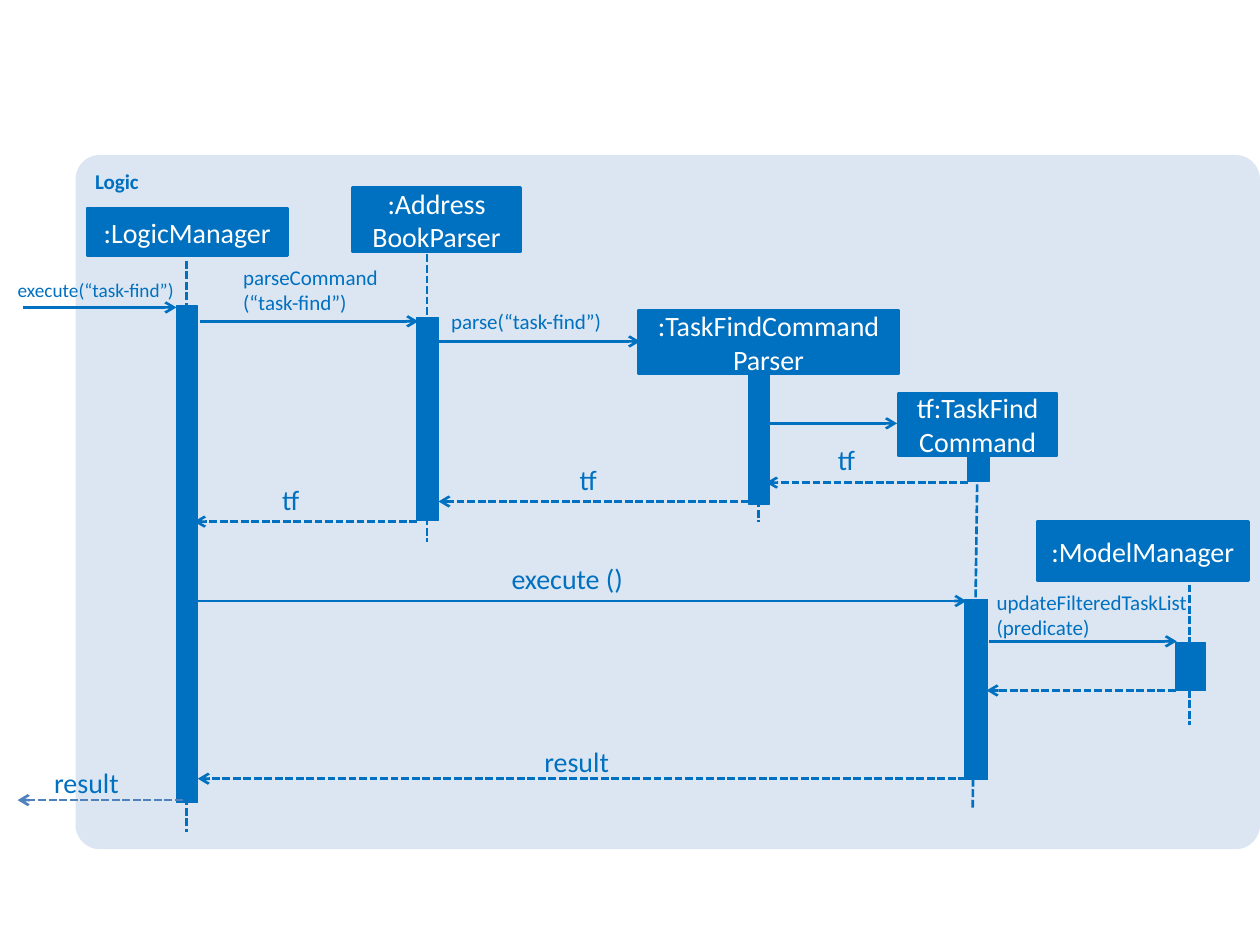
"""Build a sequence diagram of the task-find command inside the Logic component."""
from dataclasses import dataclass

from lxml import etree
from pptx import Presentation
from pptx.dml.color import RGBColor
from pptx.enum.dml import MSO_LINE
from pptx.enum.shapes import MSO_CONNECTOR, MSO_SHAPE
from pptx.enum.text import MSO_ANCHOR, PP_ALIGN
from pptx.oxml.ns import qn
from pptx.util import Inches, Pt

RECTANGLE = MSO_SHAPE.RECTANGLE
ROUNDED = MSO_SHAPE.ROUNDED_RECTANGLE
STRAIGHT = MSO_CONNECTOR.STRAIGHT
DASHED = MSO_LINE.SQUARE_DOT
LEFT, CENTER, RIGHT = PP_ALIGN.LEFT, PP_ALIGN.CENTER, PP_ALIGN.RIGHT
TOP, MIDDLE = MSO_ANCHOR.TOP, MSO_ANCHOR.MIDDLE
FONT = "Calibri"
COLORS = {"blue": "0070C0", "panel": "DCE6F2", "return": "4F81BD", "white": "FFFFFF"}


@dataclass
class Box:
    left: float
    top: float
    width: float
    height: float
    text: str = ""


@dataclass
class Label(Box):
    size: int = 16
    alignment: PP_ALIGN = LEFT


@dataclass
class Lifeline:
    x: float
    top: float
    bottom: float
    end_x: float


@dataclass
class Message:
    start: float
    end: float
    y: float
    reply: bool = False
    color: str = "blue"


PANEL = Box(0.6, 1.23, 9.4, 5.51, "Logic")
PARTICIPANTS = [
    Box(0.69, 1.65, 1.59, 0.38, ":LogicManager"),
    Box(2.8, 1.49, 1.33, 0.51, ":Address\nBookParser"),
    Box(5.07, 2.46, 2.06, 0.51, ":TaskFindCommandParser"),
    Box(7.13, 3.12, 1.26, 0.5, "tf:TaskFindCommand"),
    Box(8.23, 4.14, 1.68, 0.47, ":ModelManager"),
]
LIFELINES = [
    Lifeline(1.48, 2.07, 6.6, 1.48),
    Lifeline(3.39, 2.02, 4.3, 3.39),
    Lifeline(6.02, 2.96, 4.14, 6.02),
    Lifeline(7.76, 3.51, 6.41, 7.72),
    Lifeline(9.44, 4.64, 5.75, 9.44),
]
ACTIVATIONS = [
    Box(1.4, 2.43, 0.17, 3.94),
    Box(3.31, 2.52, 0.17, 1.61),
    Box(5.94, 2.98, 0.17, 1.02),
    Box(7.68, 3.51, 0.17, 0.31),
    Box(7.66, 4.76, 0.18, 1.43),
    Box(9.33, 5.1, 0.24, 0.38),
]
MESSAGES = [
    Message(0.18, 1.4, 2.44),
    Message(1.59, 3.32, 2.55),
    Message(3.45, 5.08, 2.71),
    Message(6.1, 7.12, 3.36),
    Message(7.68, 6.08, 3.83, True),
    Message(5.94, 3.48, 3.98, True),
    Message(3.31, 1.54, 4.14, True),
    Message(1.57, 7.67, 4.77),
    Message(7.85, 9.34, 5.09),
    Message(9.33, 7.83, 5.48, True),
    Message(7.67, 1.57, 6.18, True),
    Message(1.45, 0.14, 6.35, True, "return"),
]
LABELS = [
    Label(0.04, 2.21, 1.34, 0.19, "execute(“task-find”)", 11, RIGHT),
    Label(1.93, 2.1, 1.1, 0.4, "parseCommand(“task-find”)", 12),
    Label(3.58, 2.45, 1.26, 0.2, "parse(“task-find”)", 12),
    Label(6.65, 3.51, 0.24, 0.27, "tf"),
    Label(4.6, 3.67, 0.24, 0.27, "tf"),
    Label(2.24, 3.83, 0.24, 0.27, "tf"),
    Label(4.06, 4.46, 1.02, 0.27, "execute ()"),
    Label(7.91, 4.68, 1.57, 0.4, "updateFilteredTaskList\n(predicate)", 12),
    Label(4.32, 5.91, 0.68, 0.27, "result"),
    Label(0.43, 6.08, 0.64, 0.27, "result"),
]


def rgb(name: str) -> RGBColor:
    return RGBColor.from_string(COLORS[name])


def bounds(box: Box) -> tuple:
    return tuple(Inches(value) for value in (box.left, box.top, box.width, box.height))


def write_text(shape, text: str, size: int, color: str, alignment: PP_ALIGN,
               anchor: MSO_ANCHOR = TOP, bold: bool = False) -> None:
    frame = shape.text_frame
    frame.text = text
    frame.word_wrap = True
    frame.vertical_anchor = anchor
    for paragraph in frame.paragraphs:
        paragraph.alignment = alignment
        for run in paragraph.runs:
            run.font.name = FONT
            run.font.size = Pt(size)
            run.font.bold = bold
            run.font.color.rgb = rgb(color)


def draw_box(slide, box: Box, line_width: float):
    shape = slide.shapes.add_shape(RECTANGLE, *bounds(box))
    shape.shadow.inherit = False
    shape.fill.solid()
    shape.fill.fore_color.rgb = rgb("blue")
    shape.line.color.rgb = rgb("blue")
    shape.line.width = Pt(line_width)
    return shape


def draw_panel(slide, box: Box) -> None:
    shape = slide.shapes.add_shape(ROUNDED, *bounds(box))
    shape.adjustments[0] = 0.035
    shape.shadow.inherit = False
    shape.fill.solid()
    shape.fill.fore_color.rgb = rgb("panel")
    shape.line.fill.background()
    write_text(shape, box.text, 12, "blue", LEFT, bold=True)


def draw_line(slide, start: tuple, end: tuple, color: str = "blue",
              dashed: bool = False, arrow: bool = False) -> None:
    points = [Inches(value) for value in (*start, *end)]
    connector = slide.shapes.add_connector(STRAIGHT, *points)
    connector.line.color.rgb = rgb(color)
    connector.line.width = Pt(1.5)
    if dashed:
        connector.line.dash_style = DASHED
    properties = connector._element.spPr
    if arrow:
        etree.SubElement(properties.find(qn("a:ln")), qn("a:tailEnd"), type="arrow")
    etree.SubElement(properties, qn("a:effectLst"))


def draw_label(slide, label: Label) -> None:
    shape = slide.shapes.add_textbox(*bounds(label))
    frame = shape.text_frame
    frame.margin_left = frame.margin_right = frame.margin_top = frame.margin_bottom = 0
    write_text(shape, label.text, label.size, "blue", label.alignment)


def main() -> None:
    presentation = Presentation()
    presentation.slide_width, presentation.slide_height = Inches(10), Inches(7.5)
    slide = presentation.slides.add_slide(presentation.slide_layouts[6])
    draw_panel(slide, PANEL)
    for lifeline in LIFELINES:
        draw_line(slide, (lifeline.x, lifeline.top), (lifeline.end_x, lifeline.bottom), dashed=True)
    for activation in ACTIVATIONS:
        draw_box(slide, activation, 0.75)
    for participant in PARTICIPANTS:
        shape = draw_box(slide, participant, 1.5)
        write_text(shape, participant.text, 16, "white", CENTER, MIDDLE)
    for message in MESSAGES:
        draw_line(slide, (message.start, message.y), (message.end, message.y),
                  message.color, message.reply, arrow=True)
    for label in LABELS:
        draw_label(slide, label)
    presentation.save("out.pptx")


if __name__ == "__main__":
    main()
